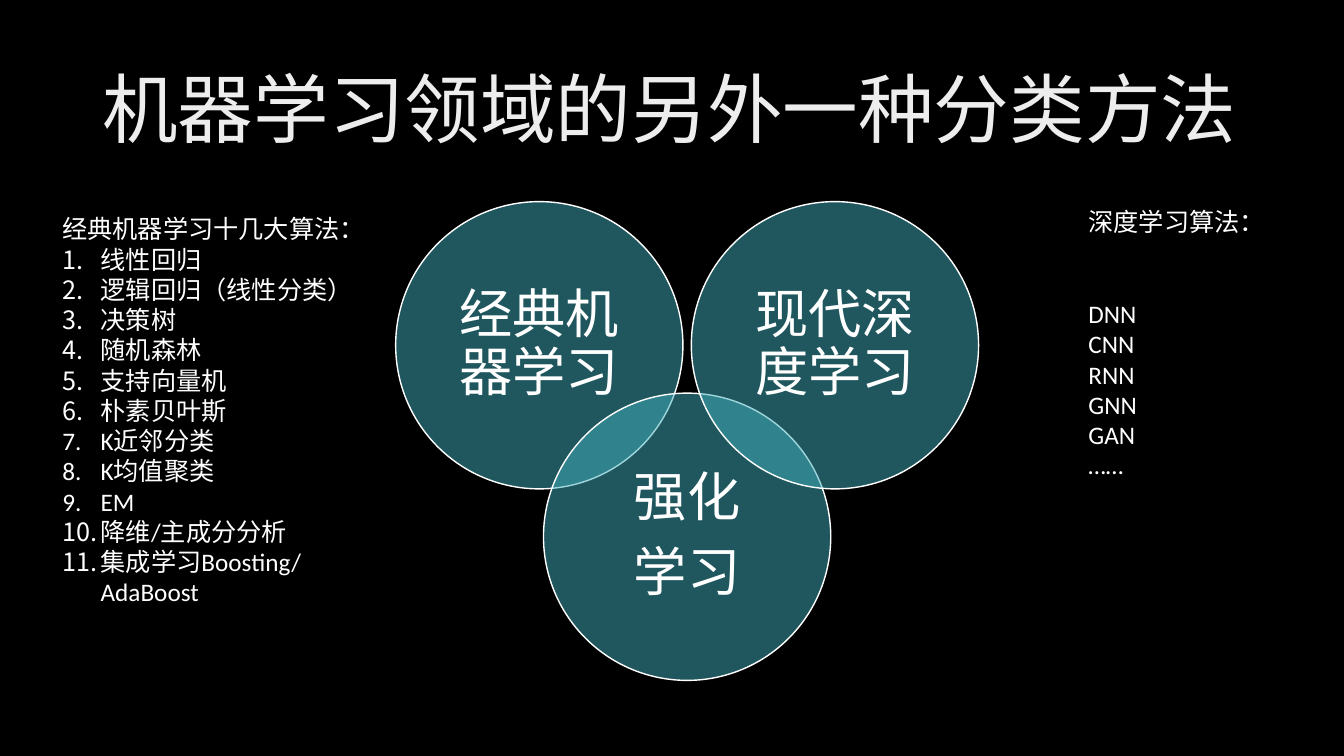
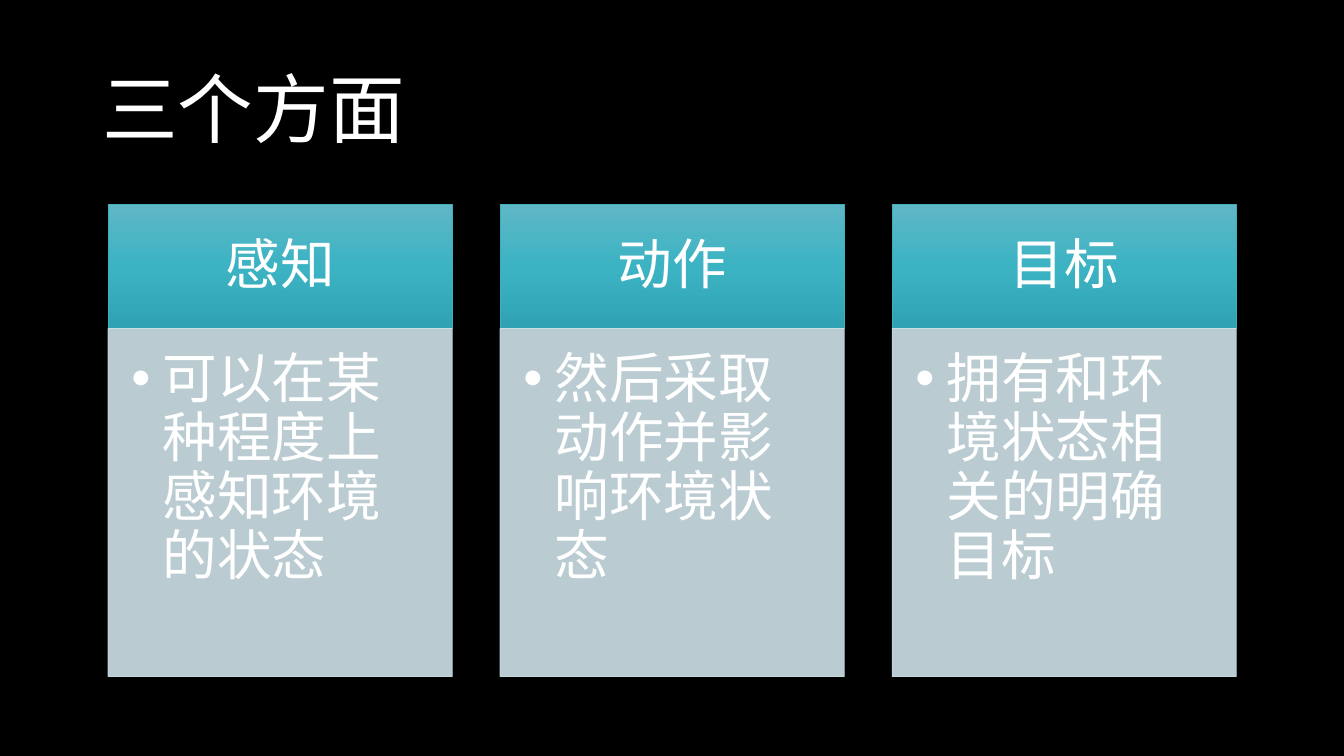
from dataclasses import dataclass

from lxml import etree
from pptx import Presentation, util as u
from pptx.dml.color import RGBColor
from pptx.enum import shapes, text
from pptx.oxml import ns

CELL = u.Inches(1 / 12)  # the slide is a grid of 160 columns by 90 rows


@dataclass(frozen=True)
class Theme:
    font: str = "Calibri"
    ground: str = "000000"
    white: str = "FFFFFF"
    silver: str = "EDEDED"
    teal: str = "41AEBD"
    pale: str = "CFE3E8"
    header_stops: tuple = ((0, "5FB7C5"), (50, "3BB3C3"), (100, "2FA3B3"))
    title_size: int = 54
    card_size: int = 39
    circle_size: int = 38
    list_size: int = 18


@dataclass(frozen=True)
class Box:
    """A region in grid columns and rows."""
    left: float
    top: float
    width: float
    height: float

    def inner(self, left, top, width, height):
        return Box(self.left + left, self.top + top, width, height)

    def emu(self):
        return [round(side * CELL) for side in (self.left, self.top, self.width, self.height)]


THEME = Theme()
TITLE_BOX = Box(11, 4.8, 138, 17.4)


def rgb(value):
    return RGBColor.from_string(value)


def add_bullet(para, indent, tag, **attributes):
    props = para._p.get_or_add_pPr()
    props.set("marL", str(u.Inches(indent)))
    props.set("indent", str(-u.Inches(indent)))
    if tag == "a:buChar":
        etree.SubElement(props, ns.qn("a:buFont"), typeface="Arial")
    etree.SubElement(props, ns.qn(tag), **attributes)


def write(frame, lines, size, color=THEME.white, align=text.PP_ALIGN.LEFT,
          anchor=text.MSO_ANCHOR.TOP, spacing=None, after=0, insets=(0.1, 0.05, 0.1, 0.05)):
    """Fill a text frame with one paragraph per line and return the paragraphs."""
    frame.word_wrap = True
    frame.vertical_anchor = anchor
    frame.margin_left, frame.margin_top, frame.margin_right, frame.margin_bottom = map(u.Inches, insets)
    for index, line in enumerate(lines):
        para = frame.add_paragraph() if index else frame.paragraphs[0]
        para.alignment = align
        if spacing:
            para.line_spacing = spacing
        if after:
            para.space_after = u.Pt(after)
        span = para.add_run()
        span.text = line
        span.font.name = THEME.font
        span.font.size = u.Pt(size)
        span.font.color.rgb = rgb(color)
    return frame.paragraphs


def add_text(page, box, lines, size, **style):
    return write(page.shapes.add_textbox(*box.emu()).text_frame, lines, size, **style)


def set_alpha(paint, percent):
    color = paint.find(".//" + ns.qn("a:srgbClr"))
    etree.SubElement(color, ns.qn("a:alpha"), val=str(percent * 1000))


def add_shape(page, kind, box, line, line_width, fill=None, opacity=100, line_opacity=100):
    shape = page.shapes.add_shape(kind, *box.emu())
    shape.shadow.inherit = False
    shape.line.color.rgb = rgb(line)
    shape.line.width = u.Pt(line_width)
    if line_opacity < 100:
        set_alpha(shape.line._ln, line_opacity)
    if fill:
        shape.fill.solid()
        shape.fill.fore_color.rgb = rgb(fill)
        if opacity < 100:
            set_alpha(shape._element.spPr.find(ns.qn("a:solidFill")), opacity)
    return shape


def fill_downward(shape, stops):
    """Paint a gradient from top to bottom."""
    shape.fill.gradient()
    shape.fill.gradient_angle = 270
    stop_list = shape._element.spPr.find(".//" + ns.qn("a:gsLst"))
    for stop in list(stop_list):
        stop_list.remove(stop)
    for position, color in stops:
        stop = etree.SubElement(stop_list, ns.qn("a:gs"), pos=str(position * 1000))
        etree.SubElement(stop, ns.qn("a:srgbClr"), val=color)


def add_page(deck, title, title_color=THEME.white):
    page = deck.slides.add_slide(deck.slide_layouts[6])
    page.background.fill.solid()
    page.background.fill.fore_color.rgb = rgb(THEME.ground)
    add_text(page, TITLE_BOX, [title], THEME.title_size, color=title_color,
             anchor=text.MSO_ANCHOR.MIDDLE, spacing=0.9)
    return page


def add_venn(page, box, labels):
    """Overlapping circles, left to right, with every second one lowered."""
    diameter = 34.2
    step = (box.width - diameter) / (len(labels) - 1)
    for index, lines in enumerate(labels):
        drop = (box.height - diameter) * (index % 2)
        circle = add_shape(page, shapes.MSO_SHAPE.OVAL,
                           box.inner(index * step, drop, diameter, diameter),
                           THEME.white, 1, fill=THEME.teal, opacity=50)
        write(circle.text_frame, lines, THEME.circle_size, align=text.PP_ALIGN.CENTER,
              anchor=text.MSO_ANCHOR.MIDDLE, spacing=0.9, after=12, insets=[0.16] * 4)


def add_numbered_list(page, box, heading, items):
    paras = add_text(page, box, [heading, *items], THEME.list_size)
    for para in paras[1:]:
        add_bullet(para, 0.38, "a:buAutoNum", type="arabicPeriod")


def add_plain_list(page, box, heading, items):
    paras = add_text(page, box, [heading, *items], THEME.list_size)
    paras[1].space_before = u.Pt(44)


def add_card(page, box, heading, body):
    header_height = 14.76
    header = add_shape(page, shapes.MSO_SHAPE.RECTANGLE,
                       box.inner(0, 0, box.width, header_height), THEME.teal, 0.5)
    fill_downward(header, THEME.header_stops)
    write(header.text_frame, [heading], THEME.card_size, align=text.PP_ALIGN.CENTER,
          anchor=text.MSO_ANCHOR.MIDDLE, spacing=0.9, after=13, insets=(0.3, 0.17, 0.3, 0.17))
    panel = add_shape(page, shapes.MSO_SHAPE.RECTANGLE,
                      box.inner(0, header_height, box.width, box.height - header_height),
                      THEME.pale, 0.5, fill=THEME.pale, opacity=90, line_opacity=90)
    paras = write(panel.text_frame, [body], THEME.card_size, spacing=0.9, after=6,
                  insets=(0.23, 0.23, 0.3, 0.34))
    add_bullet(paras[0], 0.31, "a:buChar", char="•")


def add_cards(page, box, cards):
    gap = 5.7
    width = (box.width - gap * (len(cards) - 1)) / len(cards)
    for index, (heading, body) in enumerate(cards):
        add_card(page, box.inner(index * (width + gap), 0, width, box.height), heading, body)


def build_methods_page(deck):
    page = add_page(deck, "机器学习领域的另外一种分类方法", THEME.silver)
    add_venn(page, Box(47.1, 24, 69.4, 57),
             [["经典机器学习"], ["强化", "学习"], ["现代深度学习"]])
    add_numbered_list(page, Box(6.25, 24.85, 38.2, 52), "经典机器学习十几大算法：", [
        "线性回归", "逻辑回归（线性分类）", "决策树", "随机森林", "支持向量机", "朴素贝叶斯",
        "K近邻分类", "K均值聚类", "EM", "降维/主成分分析", "集成学习Boosting/AdaBoost"])
    add_plain_list(page, Box(128.4, 24, 25, 37.6), "深度学习算法：",
                   ["DNN", "CNN", "RNN", "GNN", "GAN", "……"])


def build_aspects_page(deck):
    page = add_page(deck, "三个方面")
    add_cards(page, Box(12.87, 24.35, 134.3, 56.2), [
        ("感知", "可以在某种程度上感知环境的状态"),
        ("动作", "然后采取动作并影响环境状态"),
        ("目标", "拥有和环境状态相关的明确目标")])


def main():
    deck = Presentation()
    deck.slide_width, deck.slide_height = 160 * CELL, 90 * CELL
    build_methods_page(deck)
    build_aspects_page(deck)
    deck.save("out.pptx")


if __name__ == "__main__":
    main()
